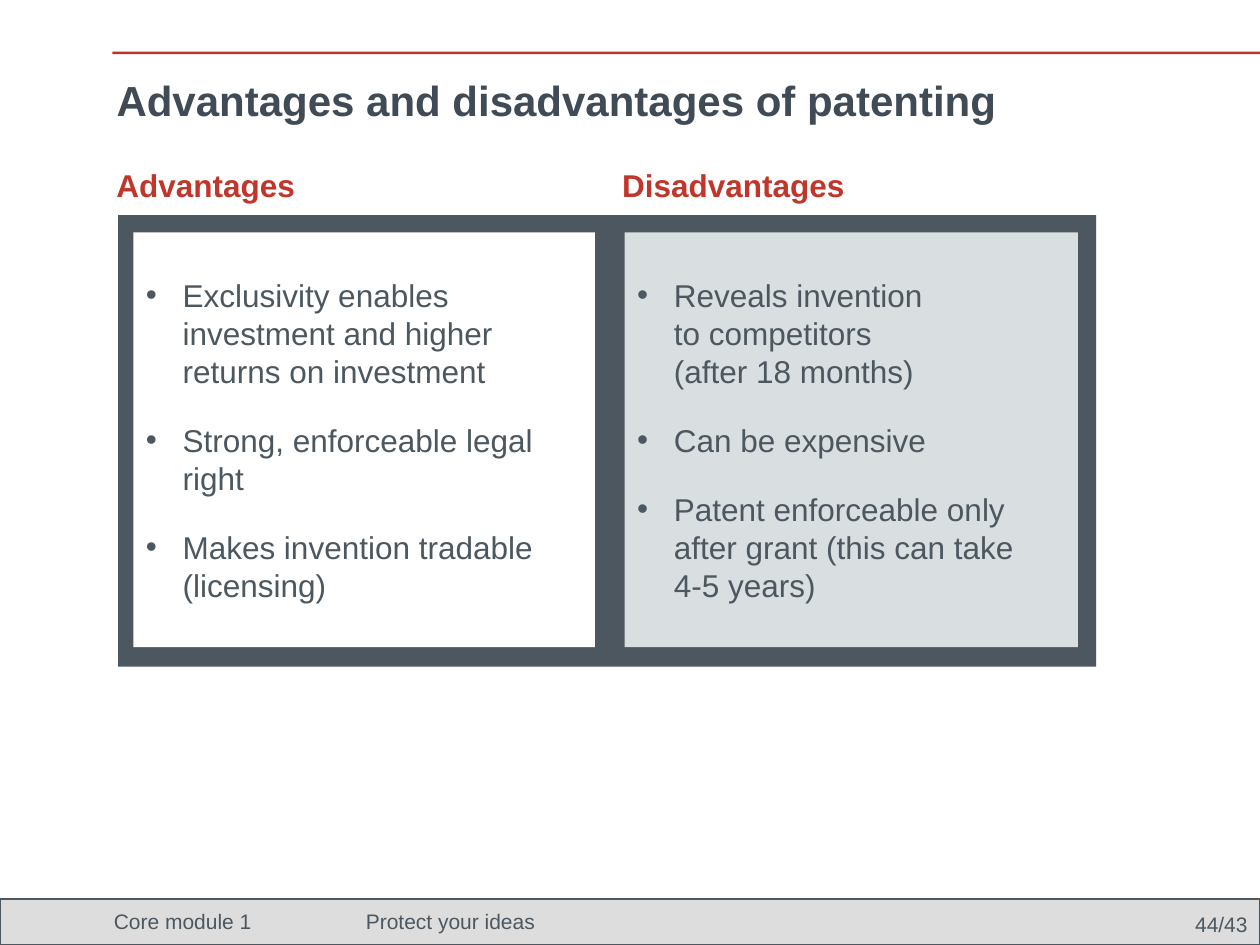
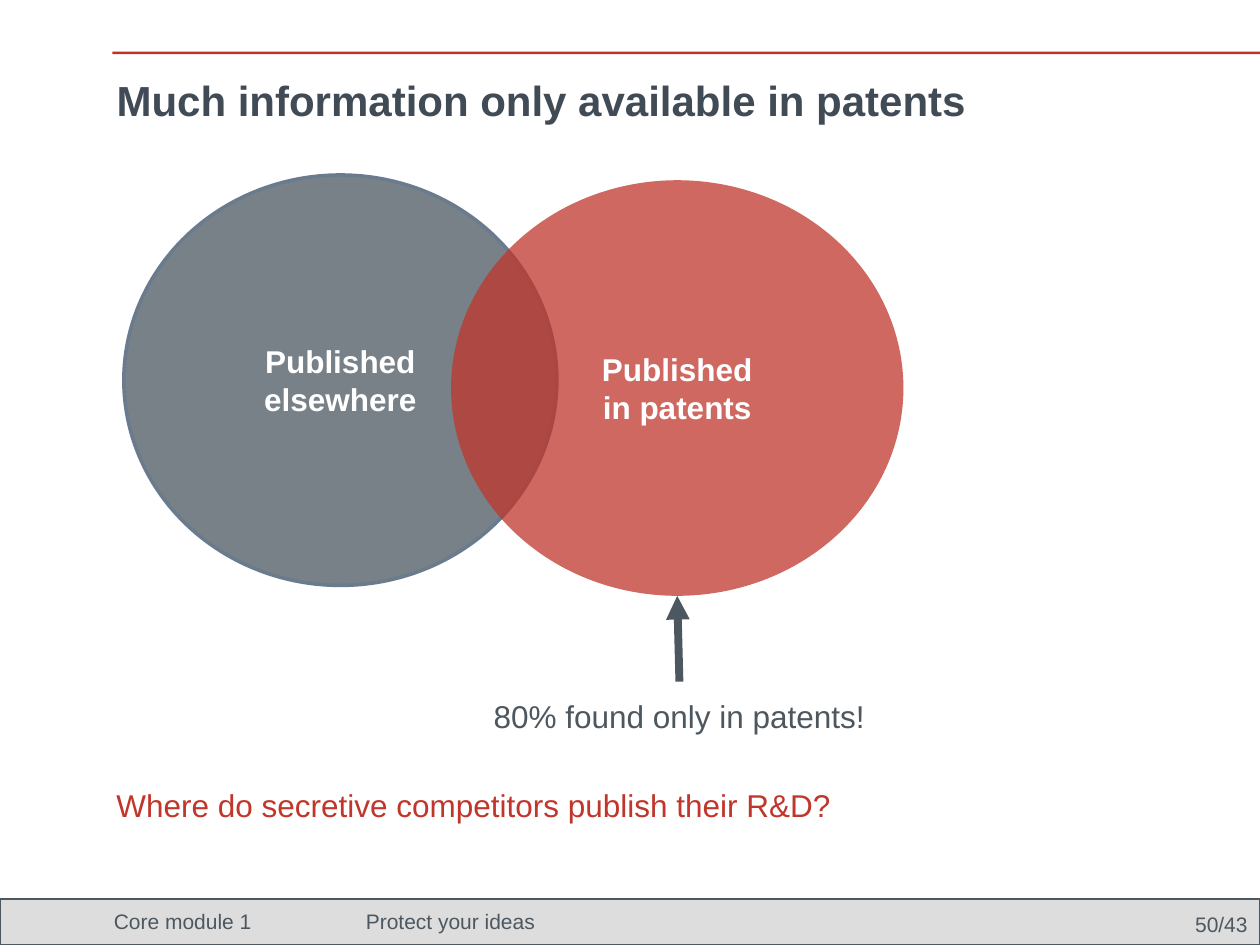
from lxml.etree import SubElement
from pptx import Presentation
from pptx.dml.color import RGBColor
from pptx.enum.shapes import MSO_CONNECTOR, MSO_SHAPE
from pptx.enum.text import MSO_ANCHOR, PP_ALIGN
from pptx.oxml.ns import qn
from pptx.util import Pt

SLATE = RGBColor(0x4C, 0x57, 0x5F)
TITLE_SLATE = RGBColor(0x40, 0x4B, 0x56)
OUTLINE_BLUE = RGBColor(0x69, 0x7B, 0x8D)
RED = RGBColor(0xC0, 0x36, 0x2B)
RULE_RED = RGBColor(0xC0, 0x31, 0x27)
FOOTER_GREY = RGBColor(0xDD, 0xDD, 0xDD)
PANEL_GREY = RGBColor(0xD9, 0xDE, 0xE1)
WHITE = RGBColor(0xFF, 0xFF, 0xFF)
FONT = "Arial"
LEFT = 59.5


def add_bullet(paragraph, indent=21):
    """Give a paragraph a hanging round bullet."""
    properties = paragraph._p.get_or_add_pPr()
    properties.set("marL", str(Pt(indent)))
    properties.set("indent", str(-Pt(indent)))
    color = SubElement(properties, qn("a:buClr"))
    SubElement(color, qn("a:srgbClr"), val=str(SLATE))
    SubElement(properties, qn("a:buFont"), typeface=FONT)
    SubElement(properties, qn("a:buChar"), char="•")


def add_tab_stop(paragraph, position):
    """Add a left tab stop to a paragraph."""
    tabs = SubElement(paragraph._p.get_or_add_pPr(), qn("a:tabLst"))
    SubElement(tabs, qn("a:tab"), pos=str(Pt(position)), algn="l")


def write_text(shape, *lines, size=18, color=SLATE, bold=False, align=PP_ALIGN.LEFT,
               anchor=MSO_ANCHOR.MIDDLE, bullets=False, space_after=0, tab=None):
    """Write one paragraph per line into a shape."""
    frame = shape.text_frame
    frame.word_wrap = True
    frame.vertical_anchor = anchor
    for index, line in enumerate(lines):
        paragraph = frame.add_paragraph() if index else frame.paragraphs[0]
        paragraph.text = line
        paragraph.alignment = align
        paragraph.space_after = Pt(space_after)
        if bullets:
            add_bullet(paragraph)
        if tab:
            add_tab_stop(paragraph, tab)
        for run in paragraph.runs:
            run.font.name = FONT
            run.font.size = Pt(size)
            run.font.bold = bold
            run.font.color.rgb = color


class Deck:
    """Hold the shared style and the current slide."""

    def __init__(self):
        """Start an empty 10 by 7.5 inch presentation."""
        self.presentation = Presentation()
        self.presentation.slide_width = Pt(720)
        self.presentation.slide_height = Pt(540)
        self.slide = None

    def add_slide(self, title, page):
        """Add a slide with rule, footer and title."""
        self.slide = self.presentation.slides.add_slide(self.presentation.slide_layouts[6])
        self.shape(0, 513.75, 720, 26.25, FOOTER_GREY, line=SLATE)
        self.shape(64.25, 29.5, 655.75, 1.5, RULE_RED)
        self.text("Core module 1\tProtect your ideas", 58, 517.5, 607, 17.5, size=12, tab=144)
        self.text(page, 660, 522.25, 60, 11.5, size=12, align=PP_ALIGN.RIGHT)
        self.text(title, LEFT, 32, 605, 50, size=24, color=TITLE_SLATE, bold=True)

    def shape(self, left, top, width, height, fill, kind=MSO_SHAPE.RECTANGLE,
              line=None, line_width=0.75, opacity=100):
        """Add a flat preset shape."""
        shape = self.slide.shapes.add_shape(kind, Pt(left), Pt(top), Pt(width), Pt(height))
        shape.shadow.inherit = False
        shape.fill.solid()
        shape.fill.fore_color.rgb = fill
        if opacity < 100:
            color = shape.element.spPr.find(qn("a:solidFill")).find(qn("a:srgbClr"))
            SubElement(color, qn("a:alpha"), val=str(opacity * 1000))
        if line is None:
            shape.line.fill.background()
        else:
            shape.line.color.rgb = line
            shape.line.width = Pt(line_width)
        return shape

    def text(self, text, left, top, width, height, **style):
        """Add a text box."""
        box = self.slide.shapes.add_textbox(Pt(left), Pt(top), Pt(width), Pt(height))
        write_text(box, text, **style)

    def label(self, text, left, top, width, **style):
        """Add a one-line label."""
        self.text(text, left, top, width, 29, anchor=MSO_ANCHOR.TOP, **style)

    def panel(self, left, width, fill, items):
        """Add a bulleted panel of the comparison."""
        panel = self.shape(left, 132.75, width, 237, fill)
        write_text(panel, *items, bullets=True, space_after=18)

    def circle(self, left, top, width, height, fill, lines, **outline):
        """Add a translucent labelled circle of the Venn diagram."""
        circle = self.shape(left, top, width, height, fill, MSO_SHAPE.OVAL, opacity=75, **outline)
        write_text(circle, *lines, color=WHITE, bold=True, align=PP_ALIGN.CENTER)

    def arrow(self, start, end, color=SLATE, width=4.5):
        """Add a straight arrow from start to end."""
        arrow = self.slide.shapes.add_connector(
            MSO_CONNECTOR.STRAIGHT, *(Pt(value) for value in start + end))
        arrow.line.color.rgb = color
        arrow.line.width = Pt(width)
        properties = arrow.element.spPr
        SubElement(properties.find(qn("a:ln")), qn("a:tailEnd"), type="triangle")
        SubElement(properties, qn("a:effectLst"))

    def save(self):
        """Save the presentation."""
        self.presentation.save("out.pptx")


def build_comparison(deck):
    """Build the advantages and disadvantages slide."""
    deck.add_slide("Advantages and disadvantages of patenting", "44/43")
    deck.shape(67.5, 123, 559, 258, SLATE)
    deck.panel(76.25, 263.75, WHITE, [
        "Exclusivity enables investment and higher returns on investment",
        "Strong, enforceable legal right",
        "Makes invention tradable (licensing)",
    ])
    deck.panel(357, 259, PANEL_GREY, [
        "Reveals invention\nto competitors\n(after 18 months)",
        "Can be expensive",
        "Patent enforceable only after grant (this can take\n4-5 years)",
    ])
    deck.label("Advantages", LEFT, 91.5, 153, color=RED, bold=True)
    deck.label("Disadvantages", 348.5, 91.5, 153, color=RED, bold=True)


def build_venn(deck):
    """Build the slide on where information is published."""
    deck.add_slide("Much information only available in patents", "50/43")
    deck.circle(70.75, 100, 247.5, 234.5, SLATE, ["Published elsewhere"],
                line=OUTLINE_BLUE, line_width=2)
    deck.circle(257.75, 103, 258.5, 237.5, RED, ["Published", "in patents"])
    deck.label("80% found only in patents!", 275, 394.5, 240)
    deck.arrow((388.25, 389.5), (387, 340.5))
    deck.label("Where do secretive competitors publish their R&D?", LEFT, 445.5, 440, color=RED)


def main():
    """Build and save both slides."""
    deck = Deck()
    build_comparison(deck)
    build_venn(deck)
    deck.save()


if __name__ == "__main__":
    main()
